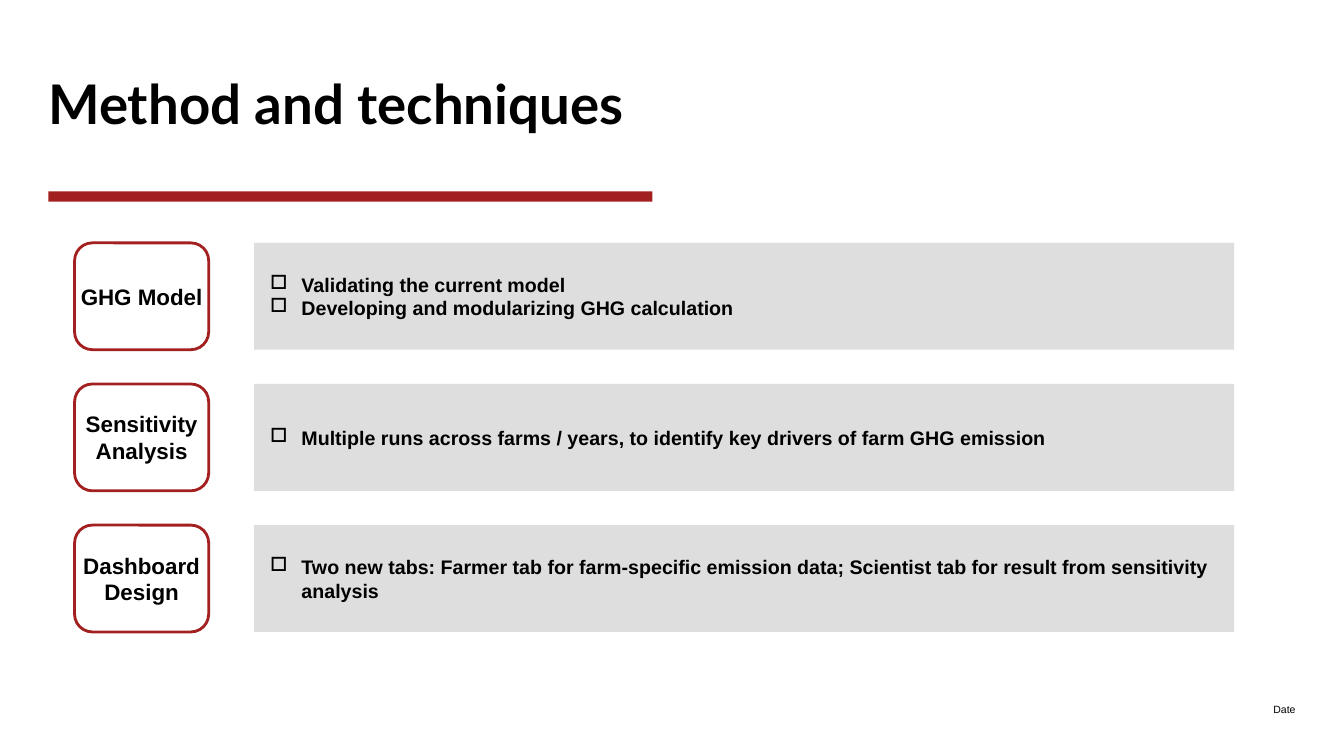
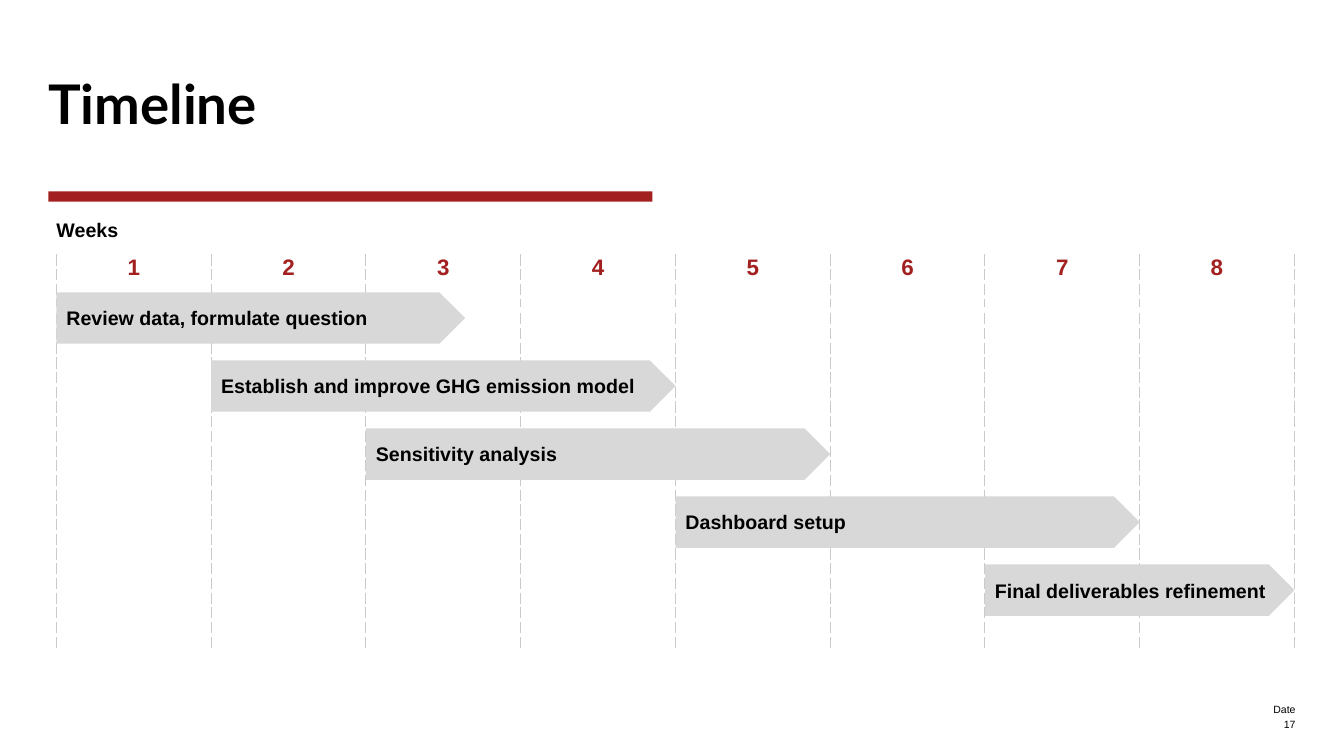
from lxml.etree import SubElement
from pptx import Presentation
from pptx.dml.color import RGBColor
from pptx.enum.shapes import MSO_SHAPE as Shape
from pptx.enum.text import MSO_ANCHOR as Anchor, PP_ALIGN as Align
from pptx.oxml import parse_xml
from pptx.oxml.ns import nsdecls, qn
from pptx.util import Inches, Pt

RED, BLACK, WHITE = "A32020", "000000", "FFFFFF"
PANEL_GRAY, ARROW_GRAY, RULE_GRAY = "DEDEDE", "D8D8D8", "CACACA"
MARGIN, CONTENT_WIDTH = 0.48, 12.36
HOLLOW_SQUARE = "o"
color = RGBColor.from_string


def add_box(page, kind, left, top, width, height, fill=None):
    frame = [Inches(length) for length in (left, top, width, height)]
    if kind is None:
        return page.shapes.add_textbox(*frame)
    box = page.shapes.add_shape(kind, *frame)
    box.shadow.inherit = False
    box.fill.solid()
    box.fill.fore_color.rgb = color(fill)
    box.line.fill.background()
    return box


def write(box, lines, size, bold=True, font="Arial", align=Align.LEFT,
          anchor=Anchor.MIDDLE, inset=(0, 0), bullet=None):
    frame = box.text_frame
    frame.word_wrap = True
    frame.vertical_anchor = anchor
    frame.margin_left = frame.margin_right = Inches(inset[0])
    frame.margin_top = frame.margin_bottom = Inches(inset[1])
    for index, line in enumerate(lines):
        para = frame.add_paragraph() if index else frame.paragraphs[0]
        para.alignment = align
        if bullet:
            props = para._p.get_or_add_pPr()
            props.set("marL", str(Inches(0.31)))
            props.set("indent", str(Inches(-0.31)))
            SubElement(SubElement(props, qn("a:buClr")), qn("a:srgbClr")).set("val", BLACK)
            symbols = SubElement(props, qn("a:buFont"))
            symbols.set("typeface", "Wingdings")
            symbols.set("pitchFamily", "2")
            symbols.set("charset", "2")
            SubElement(props, qn("a:buChar")).set("char", bullet)
        span = para.add_run()
        span.text = line
        span.font.name = font
        span.font.size = Pt(size)
        span.font.bold = bold
        span.font.color.rgb = color(BLACK)


deck = Presentation()
deck.slide_width, deck.slide_height = Inches(13.33), Inches(7.5)
blank = deck.slide_layouts[6]

pages = []
for title, footer in [("Method and techniques", ["Date"]), ("Timeline", ["Date", "17"])]:
    page = deck.slides.add_slide(blank)
    add_box(page, Shape.RECTANGLE, MARGIN, 1.9, 5.99, 0.1, RED)
    heading = add_box(page, None, MARGIN, 0.19, CONTENT_WIDTH, 1.15)
    write(heading, [title], 39, font="Lato", anchor=Anchor.BOTTOM)
    for row, text in enumerate(footer):
        note = add_box(page, None, 10.92, 6.95 + 0.15 * row, 1.93, 0.15)
        write(note, [text], 7.5, bold=False, align=Align.RIGHT, anchor=Anchor.BOTTOM)
    pages.append(page)
methods_page, timeline_page = pages

METHODS = [
    (["GHG Model"],
     ["Validating the current model", "Developing and modularizing GHG calculation"]),
    (["Sensitivity Analysis"],
     ["Multiple runs across farms / years, to identify key drivers of farm GHG emission"]),
    (["Dashboard", "Design"],
     ["Two new tabs: Farmer tab for farm-specific emission data; "
      "Scientist tab for result from sensitivity analysis"]),
]
METHOD_TOP, METHOD_PITCH, METHOD_HEIGHT = 2.41, 1.4, 1.06
for row, (name, details) in enumerate(METHODS):
    top = METHOD_TOP + METHOD_PITCH * row
    panel = add_box(methods_page, Shape.RECTANGLE, 2.52, top, 9.72, METHOD_HEIGHT, PANEL_GRAY)
    write(panel, details, 14, inset=(0.16, 0.05), bullet=HOLLOW_SQUARE)
    label = add_box(methods_page, Shape.ROUNDED_RECTANGLE, 0.74, top, 1.33, METHOD_HEIGHT, WHITE)
    label.line.color.rgb = color(RED)
    label.line.width = Pt(2)
    write(label, name, 16, align=Align.CENTER, inset=(0, 0.05))

WEEKS, GRID_LEFT, GRID_TOP = 8, 0.56, 2.53
WEEK_WIDTH = (MARGIN + CONTENT_WIDTH - GRID_LEFT) / WEEKS
ROW_HEIGHTS = [0.53, 3.38]
grid = timeline_page.shapes.add_table(
    len(ROW_HEIGHTS), WEEKS, Inches(GRID_LEFT), Inches(GRID_TOP),
    Inches(WEEK_WIDTH * WEEKS), Inches(sum(ROW_HEIGHTS))).table
grid.first_row = grid.horz_banding = False
for column in grid.columns:
    column.width = Inches(WEEK_WIDTH)
for row, height in enumerate(ROW_HEIGHTS):
    grid.rows[row].height = Inches(height)
    for week in range(WEEKS):
        cell = grid.cell(row, week)
        cell.margin_top = cell.margin_bottom = 0
        cell.fill.background()
        borders = [("lnL", RULE_GRAY, 0.75, "dash"), ("lnR", RULE_GRAY, 0.75, "dash"),
                   ("lnT", WHITE, 3 if row else 1, "solid"),
                   ("lnB", WHITE, 1 if row else 3, "solid")]
        for position, (side, tint, width, dash) in enumerate(borders):
            cell._tc.get_or_add_tcPr().insert(position, parse_xml(
                f'<a:{side} {nsdecls("a")} w="{Pt(width)}"><a:solidFill>'
                f'<a:srgbClr val="{tint}"/></a:solidFill><a:prstDash val="{dash}"/></a:{side}>'))
        if row == 0:
            para = cell.text_frame.paragraphs[0]
            para.alignment = Align.CENTER
            span = para.add_run()
            span.text = str(week + 1)
            span.font.name = "Arial"
            span.font.size = Pt(16)
            span.font.bold = True
            span.font.color.rgb = color(RED)

caption = add_box(timeline_page, None, GRID_LEFT, 2.14, 4.18, 0.24)
write(caption, ["Weeks"], 14, anchor=Anchor.TOP)
caption.text_frame.paragraphs[0].line_spacing = 1.1

TASKS = [
    ("Review data, formulate question", 0, 2.64),
    ("Establish and improve GHG emission model", 1, 3),
    ("Sensitivity analysis", 2, 3),
    ("Dashboard setup", 4, 3),
    ("Final deliverables refinement", 6, 2),
]
FIRST_TASK_TOP, LAST_TASK_TOP, TASK_HEIGHT = 2.9, 5.6, 0.51
TASK_PITCH = (LAST_TASK_TOP - FIRST_TASK_TOP) / (len(TASKS) - 1)
for row, (task, start, duration) in enumerate(TASKS):
    arrow = add_box(timeline_page, Shape.PENTAGON, GRID_LEFT + WEEK_WIDTH * start,
                    FIRST_TASK_TOP + TASK_PITCH * row, WEEK_WIDTH * duration,
                    TASK_HEIGHT, ARROW_GRAY)
    write(arrow, [task], 14, inset=(0.1, 0))

deck.save("out.pptx")
